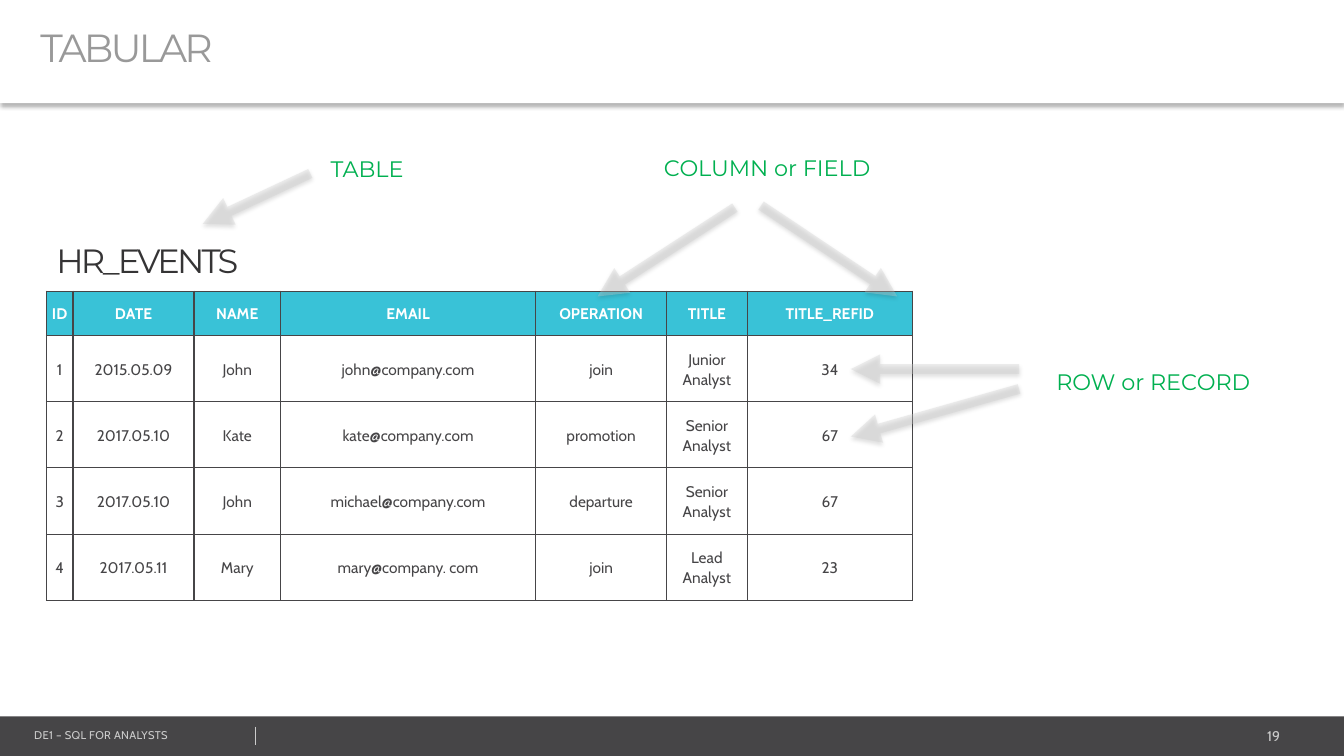
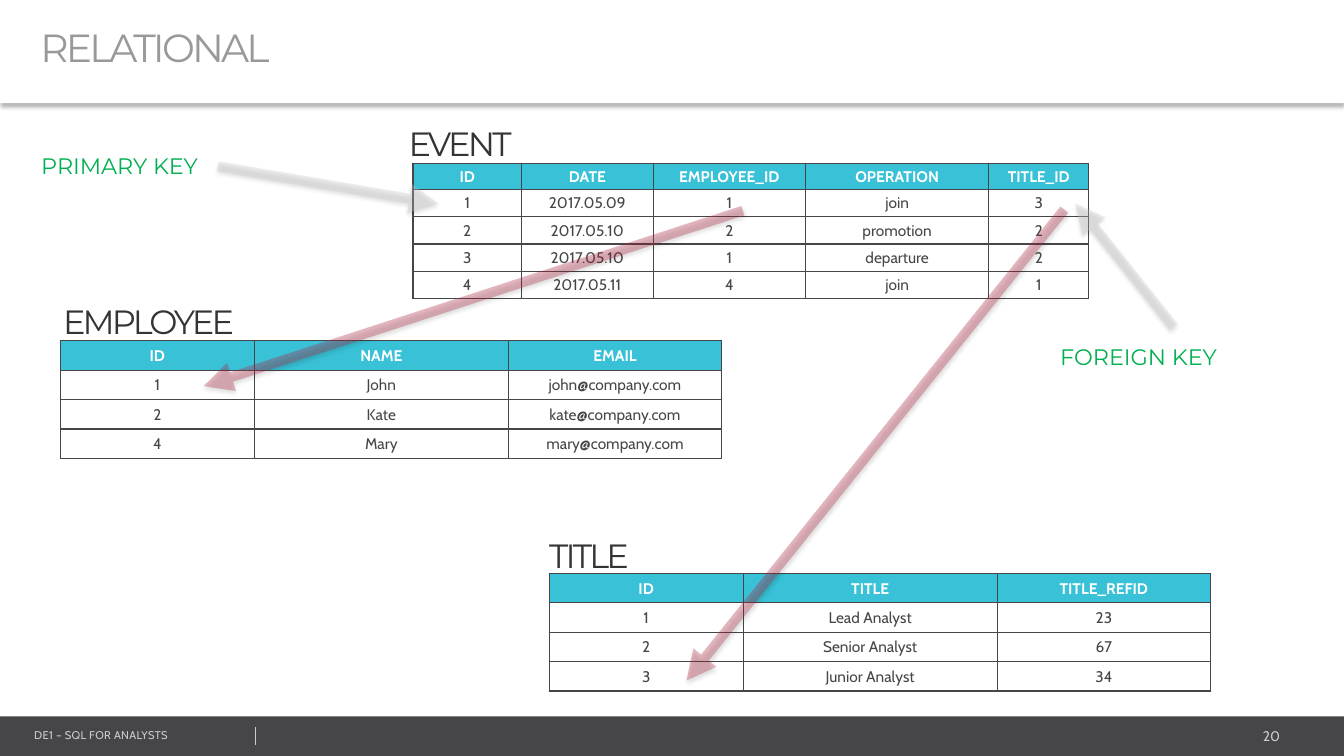
from lxml.etree import SubElement
from pptx import Presentation
from pptx.dml.color import RGBColor
from pptx.enum.shapes import MSO_CONNECTOR, MSO_SHAPE
from pptx.enum.text import MSO_ANCHOR, PP_ALIGN
from pptx.oxml.ns import qn
from pptx.util import Cm, Pt

WIDE, HIGH = 33.87, 19.05
WHITE, DARK, INK = "FFFFFF", "464547", "353435"
GREY, PALE, TEAL = "999999", "CCCCCC", "39C2D7"
GREEN, RED = "00B050", "B22746"
HEAD, BODY = "Montserrat", "Cabin"


def tint(code):
    return RGBColor.from_string(code)


def paint(shape, code):
    shape.fill.solid()
    shape.fill.fore_color.rgb = tint(code)


def write(frame, text, size=11, font=BODY, color=DARK, bold=False,
          align=PP_ALIGN.LEFT, track=0, lines=None):
    frame.word_wrap = True
    para = frame.paragraphs[0]
    para.alignment = align
    para.line_spacing = lines
    run = para.add_run()
    run.text = text
    run.font.size = Pt(size)
    run.font.name = font
    run.font.bold = bold
    run.font.color.rgb = tint(color)
    if track:
        run.font._element.set("spc", str(int(track * 100)))


def label(slide, left, top, text, width=6.2, height=0.94, **style):
    box = slide.shapes.add_textbox(Cm(left), Cm(top), Cm(width), Cm(height))
    write(box.text_frame, text, **style)


def shade(shape, alpha=0, dist=0):
    props = shape.element.spPr
    list_el = props.find(qn("a:effectLst"))
    if list_el is None:
        list_el = SubElement(props, qn("a:effectLst"))
    if alpha:
        outer = SubElement(list_el, qn("a:outerShdw"), blurRad=str(Pt(3.1)),
                           dist=str(Pt(dist)), dir="5400000", algn="t",
                           rotWithShape="0")
        color = SubElement(outer, qn("a:srgbClr"), val="000000")
        SubElement(color, qn("a:alpha"), val=str(alpha * 1000))


def stroke(slide, start, end, color, width):
    line = slide.shapes.add_connector(MSO_CONNECTOR.STRAIGHT,
                                      *map(Cm, start + end))
    line.line.color.rgb = tint(color)
    line.line.width = Pt(width)
    return line


def arrow(slide, start, end, color=PALE):
    line = stroke(slide, start, end, color, 7)
    edge = line.element.spPr.find(qn("a:ln"))
    SubElement(edge.find(".//" + qn("a:srgbClr")), qn("a:alpha"), val="32000")
    SubElement(edge, qn("a:tailEnd"), type="triangle")
    shade(line, 38, 1.6)


def band(slide, top, height, color):
    bar = slide.shapes.add_shape(MSO_SHAPE.RECTANGLE, 0, Cm(top),
                                 Cm(WIDE), Cm(height))
    paint(bar, color)
    bar.line.fill.background()
    bar.shadow.inherit = False
    return bar


def title(slide, text):
    bar = band(slide, 0, 2.6, WHITE)
    shade(bar, 30, 2)
    frame = bar.text_frame
    frame.margin_left = Cm(1.02)
    frame.vertical_anchor = MSO_ANCHOR.MIDDLE
    write(frame, text, size=28, font=HEAD, color=GREY, track=-2, lines=0.8)


def footer(slide, page):
    top = HIGH - 1
    band(slide, top, 1, DARK)
    label(slide, 26.97, top + 0.16, str(page), width=5.54, height=0.68,
          size=10, color=PALE, align=PP_ALIGN.RIGHT)
    label(slide, 0.61, top + 0.18, "DE1 – SQL FOR ANALYSTS", width=5.6,
          height=0.6, size=8, color=PALE, track=0.2)
    shade(stroke(slide, (6.43, top + 0.26), (6.43, top + 0.72), PALE, 0.25))


def border(cell):
    props = cell._tc.get_or_add_tcPr()
    for spot, side in enumerate("LRTB"):
        edge = props.makeelement(qn("a:ln" + side), {"w": str(Pt(1))})
        fill = SubElement(edge, qn("a:solidFill"))
        SubElement(fill, qn("a:srgbClr"), val=DARK)
        props.insert(spot, edge)


def grid(slide, left, top, name, cols, rows, first, rest, shift, lines=None):
    dx, dy = shift
    label(slide, left + dx, top + dy, name, height=1.28,
          size=24, font=HEAD, color=INK, track=-2)
    high = first + rest * (len(rows) - 1)
    table = slide.shapes.add_table(len(rows), len(cols), Cm(left), Cm(top),
                                   Cm(sum(cols)), Cm(high)).table
    table.horz_banding = False
    for col, width in zip(table.columns, cols):
        col.width = Cm(width)
    for r, row in enumerate(rows):
        table.rows[r].height = Cm(rest if r else first)
        for c, text in enumerate(row):
            cell = table.cell(r, c)
            cell.margin_left = cell.margin_right = cell.margin_top = Cm(0.02)
            cell.margin_bottom = 0
            cell.vertical_anchor = MSO_ANCHOR.MIDDLE
            paint(cell, WHITE if r else TEAL)
            border(cell)
            write(cell.text_frame, text, color=DARK if r else WHITE,
                  bold=not r, align=PP_ALIGN.CENTER, lines=lines)


def note(slide, left, top, text):
    label(slide, left, top, text, size=16, font=HEAD, color=GREEN)


def start(deck, text, page):
    slide = deck.slides.add_slide(deck.slide_layouts[6])
    footer(slide, page)
    title(slide, text)
    return slide


def tabular(deck):
    slide = start(deck, "TABULAR", 19)
    rows = [
        ("ID", "DATE", "NAME", "EMAIL", "OPERATION", "TITLE", "TITLE_REFID"),
        ("1", "2015.05.09", "John", "john@company.com", "join",
         "Junior Analyst", "34"),
        ("2", "2017.05.10", "Kate", "kate@company.com", "promotion",
         "Senior Analyst", "67"),
        ("3", "2017.05.10", "John", "michael@company.com", "departure",
         "Senior Analyst", "67"),
        ("4", "2017.05.11", "Mary", "mary@company. com", "join",
         "Lead Analyst", "23"),
    ]
    grid(slide, 1.17, 7.34, "HR_EVENTS",
         (0.67, 3.05, 2.18, 6.43, 3.3, 2.03, 4.17), rows,
         1.11, 1.67, (0, -1.42), lines=1.07)
    for ends in (((25.68, 9.3), (21.44, 9.3)),
                 ((25.68, 9.8), (21.44, 11)),
                 ((18.52, 5.23), (15.06, 7.47)),
                 ((19.18, 5.18), (22.61, 7.47)),
                 ((7.82, 4.37), (5.11, 5.64))):
        arrow(slide, *ends)
    note(slide, 26.37, 9.14, "ROW or RECORD")
    note(slide, 16.48, 3.76, "COLUMN or FIELD")
    note(slide, 8.08, 3.78, "TABLE")


def related(deck):
    slide = start(deck, "RELATIONAL", 20)
    trio = (4.89, 6.4, 5.38)
    titles = [("ID", "TITLE", "TITLE_REFID"),
              ("1", "Lead Analyst", "23"),
              ("2", "Senior Analyst", "67"),
              ("3", "Junior Analyst", "34")]
    events = [("ID", "DATE", "EMPLOYEE_ID", "OPERATION", "TITLE_ID"),
              ("1", "2017.05.09", "1", "join", "3"),
              ("2", "2017.05.10", "2", "promotion", "2"),
              ("3", "2017.05.10", "1", "departure", "2"),
              ("4", "2017.05.11", "4", "join", "1")]
    staff = [("ID", "NAME", "EMAIL"),
             ("1", "John", "john@company.com"),
             ("2", "Kate", "kate@company.com"),
             ("4", "Mary", "mary@company.com")]
    grid(slide, 13.84, 14.45, "TITLE", trio, titles,
         0.74, 0.74, (-0.25, -1.1))
    grid(slide, 10.41, 4.11, "EVENT", (2.73, 3.32, 3.84, 4.62, 2.52), events,
         0.66, 0.69, (-0.36, -1.14))
    grid(slide, 1.52, 8.59, "EMPLOYEE", trio, staff,
         0.74, 0.74, (-0.18, -1.14))
    arrow(slide, (18.72, 5.31), (5.13, 9.73), RED)
    arrow(slide, (29.57, 8.23), (27.1, 5.13))
    arrow(slide, (5.49, 4.19), (11.05, 5.13))
    arrow(slide, (26.82, 5.28), (17.3, 17.15), RED)
    note(slide, 0.79, 3.71, "PRIMARY KEY")
    note(slide, 26.47, 8.53, "FOREIGN KEY")


def main():
    deck = Presentation()
    deck.slide_width, deck.slide_height = Cm(WIDE), Cm(HIGH)
    tabular(deck)
    related(deck)
    deck.save("out.pptx")


if __name__ == "__main__":
    main()
